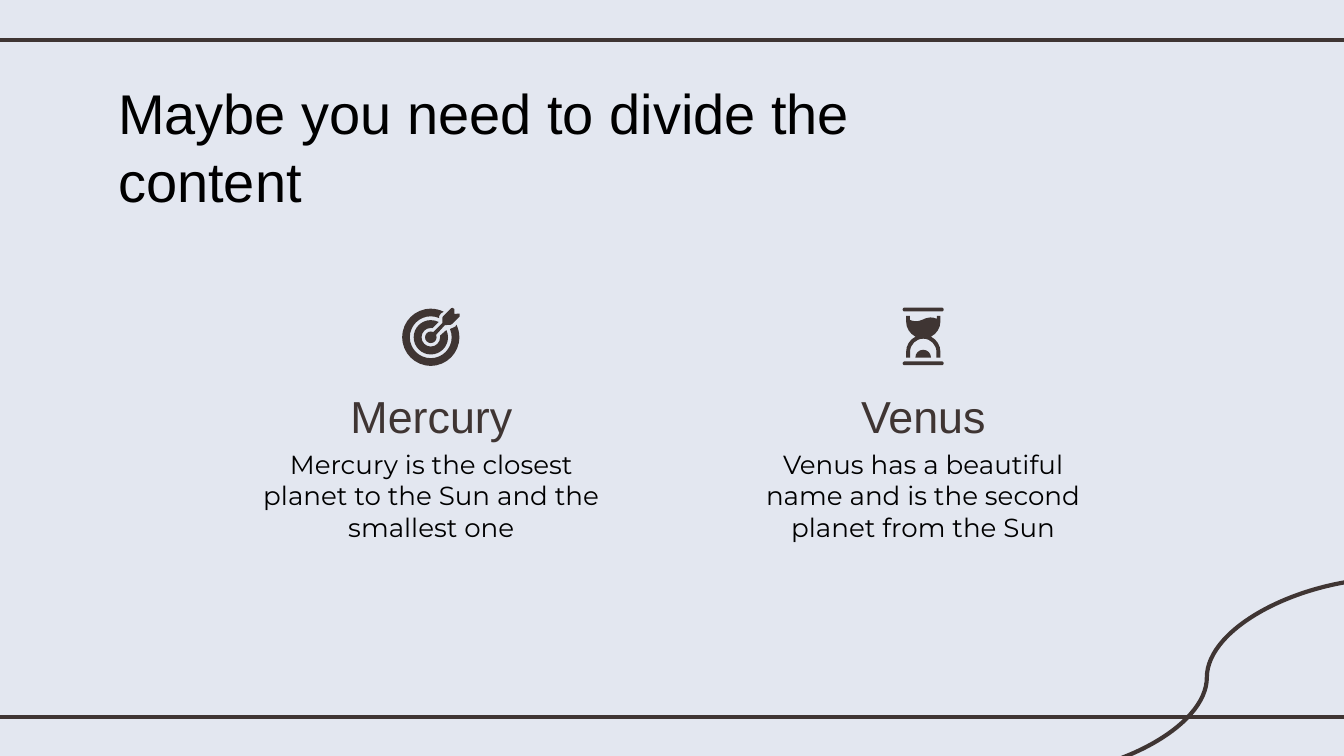
from dataclasses import dataclass
from math import cos, radians, sin, tan

from lxml import etree
from pptx import Presentation
from pptx.dml.color import RGBColor
from pptx.enum.shapes import MSO_CONNECTOR, MSO_SHAPE
from pptx.enum.text import MSO_ANCHOR, PP_ALIGN
from pptx.oxml.ns import qn
from pptx.util import Pt

STRAIGHT, CURVE = MSO_CONNECTOR.STRAIGHT, MSO_CONNECTOR.CURVE
ROUNDED = MSO_SHAPE.ROUNDED_RECTANGLE
TOP = MSO_ANCHOR.TOP
LEFT, CENTER = PP_ALIGN.LEFT, PP_ALIGN.CENTER


@dataclass(frozen=True)
class Theme:
    background: RGBColor = RGBColor(0xE3, 0xE7, 0xF0)
    accent: RGBColor = RGBColor(0x3F, 0x35, 0x33)
    ink: RGBColor = RGBColor(0, 0, 0)
    display_font: str = "Arial"
    body_font: str = "Montserrat"
    title_size: float = 30
    heading_size: float = 24
    body_size: float = 14
    rule_width: float = 2.25


theme = Theme()


def arc(center, radius, start, end):
    quarters = [a for a in range(0, 451, 90) if min(start, end) < a < max(start, end)]
    stops = sorted([start, end, *quarters], reverse=start > end)
    steps = [(center[0] + radius * cos(radians(start)), center[1] - radius * sin(radians(start)))]
    for first, last in zip(stops, stops[1:]):
        a, b = radians(first), radians(last)
        pull = 4 / 3 * tan((b - a) / 4)
        offsets = [
            (cos(a) - pull * sin(a), sin(a) + pull * cos(a)),
            (cos(b) + pull * sin(b), sin(b) - pull * cos(b)),
            (cos(b), sin(b)),
        ]
        steps.append(tuple(
            value for x, y in offsets
            for value in (center[0] + radius * x, center[1] - radius * y)
        ))
    return steps


def add_outline(group, steps):
    corners = [(Pt(step[-2]), Pt(step[-1])) for step in steps]
    builder = group.shapes.build_freeform(*corners[0])
    builder.add_line_segments(corners[1:], close=True)
    outline = builder.convert_to_shape()
    left, top = outline.left, outline.top
    segments = list(outline._element.iter(qn("a:lnTo")))
    for segment, step in zip(segments, steps[1:]):
        if len(step) == 6:
            curve = etree.Element(qn("a:cubicBezTo"))
            for x, y in zip(step[::2], step[1::2]):
                etree.SubElement(curve, qn("a:pt"), x=str(Pt(x) - left), y=str(Pt(y) - top))
            segment.getparent().replace(segment, curve)


deck = Presentation()
deck.slide_width, deck.slide_height = Pt(720), Pt(405)
slide = deck.slides.add_slide(deck.slide_layouts[6])
slide.background.fill.solid()
slide.background.fill.fore_color.rgb = theme.background

for kind, x1, y1, x2, y2 in [
    (STRAIGHT, -6, 21.5, 726, 21.5),
    (STRAIGHT, -6, 384, 726, 384),
    (CURVE, 746.8, 309.6, 546.3, 416.2),
]:
    line = slide.shapes.add_connector(kind, Pt(x1), Pt(y1), Pt(x2), Pt(y2))
    line.line.color.rgb = theme.accent
    line.line.width = Pt(theme.rule_width)
    etree.SubElement(line._element.spPr, qn("a:effectLst"))

texts = [("Maybe you need to divide the content", 56.2, 35.3, 498.2, 45.4, 6.2,
          theme.title_size, theme.display_font, theme.ink, LEFT, Pt(36.5))]
for left, heading, body in [
    (396.7, "Venus", "Venus has a beautiful name and is the second planet from the Sun"),
    (133.2, "Mercury", "Mercury is the closest planet to the Sun and the smallest one"),
]:
    texts += [
        (heading, left, 200.9, 195.8, 39.6, 7.2,
         theme.heading_size, theme.display_font, theme.accent, CENTER, Pt(28.7)),
        (body, left, 233.3, 195.8, 71.3, 6.9,
         theme.body_size, theme.body_font, theme.ink, CENTER, 1.0),
    ]

for text, left, top, width, height, inset, size, font, color, align, spacing in texts:
    box = slide.shapes.add_textbox(Pt(left), Pt(top), Pt(width), Pt(height))
    frame = box.text_frame
    frame.word_wrap = True
    frame.vertical_anchor = TOP
    frame.margin_left = frame.margin_right = frame.margin_bottom = Pt(7.2)
    frame.margin_top = Pt(inset)
    para = frame.paragraphs[0]
    para.text = text
    para.alignment = align
    para.line_spacing = spacing
    para.font.size = Pt(size)
    para.font.name = font
    para.font.color.rgb = color

target = slide.shapes.add_group_shape()
bullseye = (230.8, 180.7)
arrow = arc(bullseye, 3.1, 65, 385) + [
    (238.3, 174.2), (241.4, 174), (242.2, 173.6), (246.2, 169.6), (246.2, 168),
    (243.4, 168.2), (243.4, 165.6), (242.4, 164.9), (241.6, 165.2),
    (237.4, 169.4), (237, 170.2), (237, 173),
]
middle_ring = arc(bullseye, 9.2, 63, 385) + arc(bullseye, 5, 370, 80)
outer_ring = (
    arc(bullseye, 15.3, 63, 386)
    + [(244, 175), (242.2, 175.8)]
    + arc(bullseye, 11.2, 383, 66)
    + [(235.3, 169.3), (236.3, 167.9)]
)
for steps in (arrow, middle_ring, outer_ring):
    add_outline(target, steps)

hourglass = slide.shapes.add_group_shape()
middle = 494.6
upper, lower = (middle, 172.2), (middle, 188.6)
glass = (
    [(501.9, 169.2), (501.9, 170.8),
     (500.6, 170.3, 499.6, 170.1, 498.4, 170.1),
     (496.6, 170.1, 495.4, 170.8, 494, 171.4),
     (491.8, 172.4, 489.6, 172.4, 487.4, 171.4),
     (487.4, 169.2), (485.4, 169.2)]
    + arc(upper, 9.2, 180, 243) + arc(lower, 9.2, 117, 180)
    + [(485.4, 191.6), (487.5, 191.6)]
    + arc(lower, 7.1, 180, 0)
    + [(501.7, 191.6), (503.8, 191.6)]
    + arc(lower, 9.2, 0, 63) + arc(upper, 9.2, 297, 360)
    + [(503.8, 169.2)]
)
sand = arc((middle, 191.6), 4.2, 180, 0)
for steps in (sand, glass):
    add_outline(hourglass, steps)
for top in (193.6, 164.8):
    cap = hourglass.shapes.add_shape(ROUNDED, Pt(483.6), Pt(top), Pt(22), Pt(2.1))
    cap.adjustments[0] = 0.5

for icon in (target, hourglass):
    for part in icon.shapes:
        part.shadow.inherit = False
        part.fill.solid()
        part.fill.fore_color.rgb = theme.accent
        part.line.fill.background()

deck.save("out.pptx")
